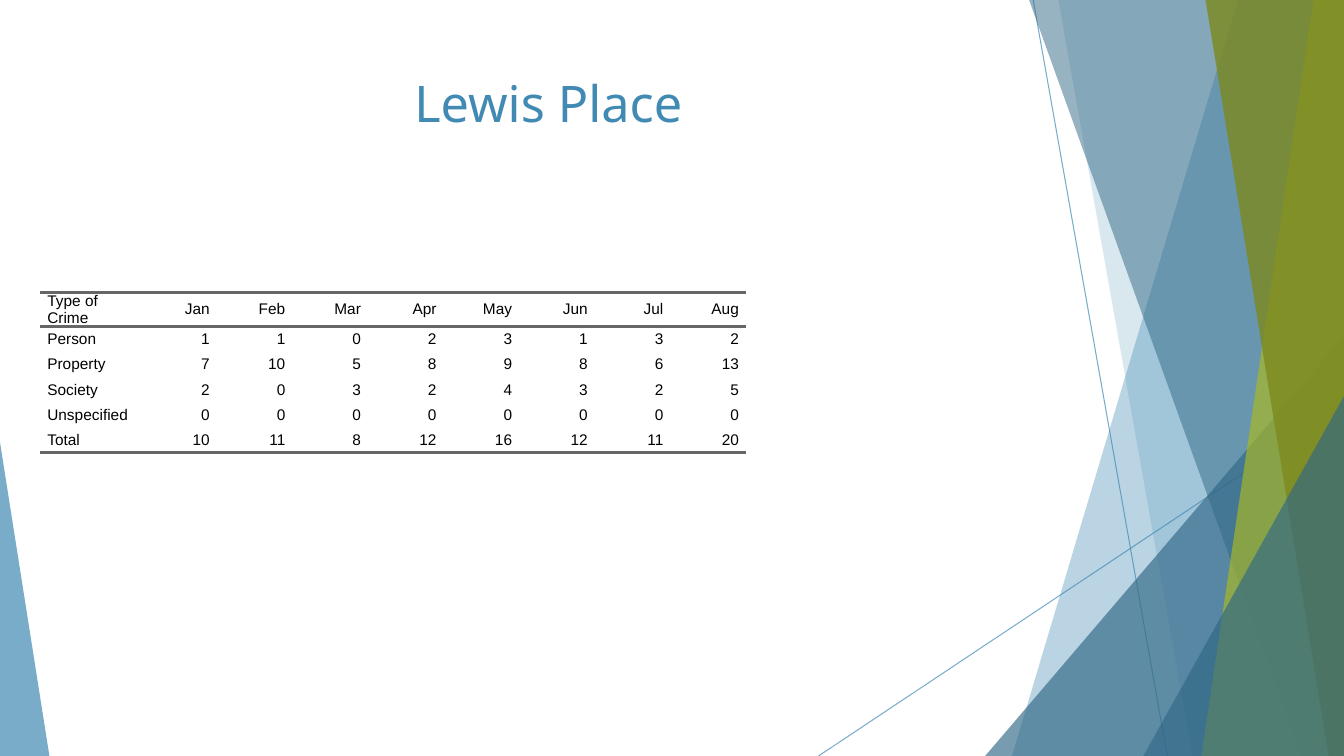
import dataclasses

import lxml.etree
import pptx
import pptx.dml.color
import pptx.enum.shapes
import pptx.enum.text
import pptx.oxml
import pptx.oxml.ns
import pptx.util

Pt = pptx.util.Pt
WIDTH, HEIGHT = 960, 540
COLOURS = {
    "blue": "418AB3",
    "dark blue": "316886",
    "lime": "A6B727",
    "olive": "7D891D",
    "rule": "666666",
    "text": "000000",
}
PLAIN_TABLE_STYLE = "{2D5ABB26-0587-4C30-8999-92F81FD0307C}"
CELL_INDENT = 5

CRIME_ROWS = [
    ["Type of Crime", "Jan", "Feb", "Mar", "Apr", "May", "Jun", "Jul", "Aug"],
    ["Person", 1, 1, 0, 2, 3, 1, 3, 2],
    ["Property", 7, 10, 5, 8, 9, 8, 6, 13],
    ["Society", 2, 0, 3, 2, 4, 3, 2, 5],
    ["Unspecified", 0, 0, 0, 0, 0, 0, 0, 0],
    ["Total", 10, 11, 8, 12, 16, 12, 11, 20],
]


@dataclasses.dataclass
class Ray:
    start: tuple[float, float]
    end: tuple[float, float]


@dataclasses.dataclass
class Band:
    """A full-height band reaching the right edge of the slide."""
    top_left: float
    bottom_left: float
    colour: str
    opacity: int


@dataclasses.dataclass
class Wedge:
    """A triangle standing on the bottom edge of the slide."""
    left: float
    top: float
    width: float
    apex: float
    colour: str
    opacity: int


RAYS = [Ray((738, 0), (833.8, HEIGHT)), Ray((WIDTH, 290.2), (584.7, HEIGHT))]
FACETS = [
    Band(884.2, 722.9, "blue", 36),
    Band(756, 851.8, "blue", 20),
    Wedge(703.7, 240, 256.3, 1, "dark blue", 66),
    Band(735.1, 929.5, "dark blue", 50),
    Band(938.2, 858.2, "lime", 70),
    Band(861.1, 949, "olive", 80),
    Wedge(816.7, 283, 143.3, 1, "dark blue", 66),
    Wedge(0, 316, 35.3, 0, "blue", 70),
]


def rgb(name: str) -> pptx.dml.color.RGBColor:
    return pptx.dml.color.RGBColor.from_string(COLOURS[name])


def apply_format(target, values: dict) -> None:
    for name, value in values.items():
        setattr(target, name, value)


def set_opacity(properties, percent: int) -> None:
    colour = properties.find(".//" + pptx.oxml.ns.qn("a:srgbClr"))
    alpha = lxml.etree.SubElement(colour, pptx.oxml.ns.qn("a:alpha"))
    alpha.set("val", str(percent * 1000))


def draw_ray(slide, ray: Ray) -> None:
    connector = slide.shapes.add_connector(
        pptx.enum.shapes.MSO_CONNECTOR.STRAIGHT,
        *(Pt(value) for value in ray.start + ray.end))
    connector.line.color.rgb = rgb("blue")
    connector.line.width = Pt(0.75)
    properties = connector._element.spPr
    set_opacity(properties, 70)
    lxml.etree.SubElement(properties, pptx.oxml.ns.qn("a:effectLst"))


def draw_facet(slide, facet: Band | Wedge) -> None:
    if isinstance(facet, Band):
        builder = slide.shapes.build_freeform(Pt(facet.top_left), Pt(0), scale=1.0)
        corners = [(WIDTH, 0), (WIDTH, HEIGHT), (facet.bottom_left, HEIGHT)]
        builder.add_line_segments([(Pt(x), Pt(y)) for x, y in corners], close=True)
        shape = builder.convert_to_shape()
    else:
        shape = slide.shapes.add_shape(
            pptx.enum.shapes.MSO_SHAPE.ISOSCELES_TRIANGLE,
            Pt(facet.left), Pt(facet.top), Pt(facet.width), Pt(HEIGHT - facet.top))
        shape.adjustments[0] = facet.apex
    shape.shadow.inherit = False
    shape.fill.solid()
    shape.fill.fore_color.rgb = rgb(facet.colour)
    shape.line.fill.background()
    set_opacity(shape._element.spPr, facet.opacity)


def add_title(slide, text: str) -> None:
    title = slide.shapes.title
    apply_format(title, {"left": Pt(53.3), "top": Pt(48),
                         "width": Pt(676.8), "height": Pt(104)})
    title.text_frame.text = text
    apply_format(title.text_frame, {
        "vertical_anchor": pptx.enum.text.MSO_ANCHOR.TOP, "word_wrap": True})
    paragraph = title.text_frame.paragraphs[0]
    paragraph.alignment = pptx.enum.text.PP_ALIGN.CENTER
    apply_format(paragraph.runs[0].font, {"size": Pt(36), "name": "Noto Sans"})
    paragraph.runs[0].font.color.rgb = rgb("blue")


def add_rule(cell, tag: str) -> None:
    cell._tc.get_or_add_tcPr().append(pptx.oxml.parse_xml(
        f'<a:{tag} {pptx.oxml.ns.nsdecls("a")} w="{Pt(2)}"><a:solidFill>'
        f'<a:srgbClr val="{COLOURS["rule"]}"/></a:solidFill></a:{tag}>'))


def fill_cell(cell, text: str, is_label: bool, rules: list[str]) -> None:
    cell.text = text
    apply_format(cell, {
        "margin_left": 0, "margin_right": 0, "margin_top": 0, "margin_bottom": 0,
        "vertical_anchor": pptx.enum.text.MSO_ANCHOR.MIDDLE})
    for tag in rules:
        add_rule(cell, tag)
    cell.fill.background()
    paragraph = cell.text_frame.paragraphs[0]
    align = pptx.enum.text.PP_ALIGN
    apply_format(paragraph, {
        "alignment": align.LEFT if is_label else align.RIGHT,
        "space_before": Pt(5), "space_after": Pt(5)})
    properties = paragraph._p.get_or_add_pPr()
    for name, value in {"marL": Pt(CELL_INDENT), "marR": Pt(CELL_INDENT), "indent": 0}.items():
        properties.set(name, str(value))
    font = paragraph.runs[0].font
    apply_format(font, {"size": Pt(11), "name": "Arial"})
    font.color.rgb = rgb("text")


def add_crime_table(slide) -> None:
    last = len(CRIME_ROWS) - 1
    table = slide.shapes.add_table(
        len(CRIME_ROWS), len(CRIME_ROWS[0]), Pt(28.8), Pt(208.8), Pt(504), Pt(108)).table
    apply_format(table, {"first_row": False, "horz_banding": False})
    table._tbl.tblPr.find(pptx.oxml.ns.qn("a:tableStyleId")).text = PLAIN_TABLE_STYLE
    for index, column in enumerate(table.columns):
        column.width = Pt(54 if index else 72)
    for row_index, values in enumerate(CRIME_ROWS):
        table.rows[row_index].height = Pt(18)
        rules = {0: ["lnT", "lnB"], last: ["lnB"]}.get(row_index, [])
        for column_index, value in enumerate(values):
            fill_cell(table.cell(row_index, column_index), str(value),
                      column_index == 0, rules)


def main() -> None:
    presentation = pptx.Presentation()
    apply_format(presentation, {"slide_width": Pt(WIDTH), "slide_height": Pt(HEIGHT)})
    slide = presentation.slides.add_slide(presentation.slide_layouts[5])

    # Background rays and facets
    for ray in RAYS:
        draw_ray(slide, ray)
    for facet in FACETS:
        draw_facet(slide, facet)

    # Title and monthly crime counts
    add_title(slide, "Lewis Place")
    add_crime_table(slide)
    presentation.save("out.pptx")


if __name__ == "__main__":
    main()
